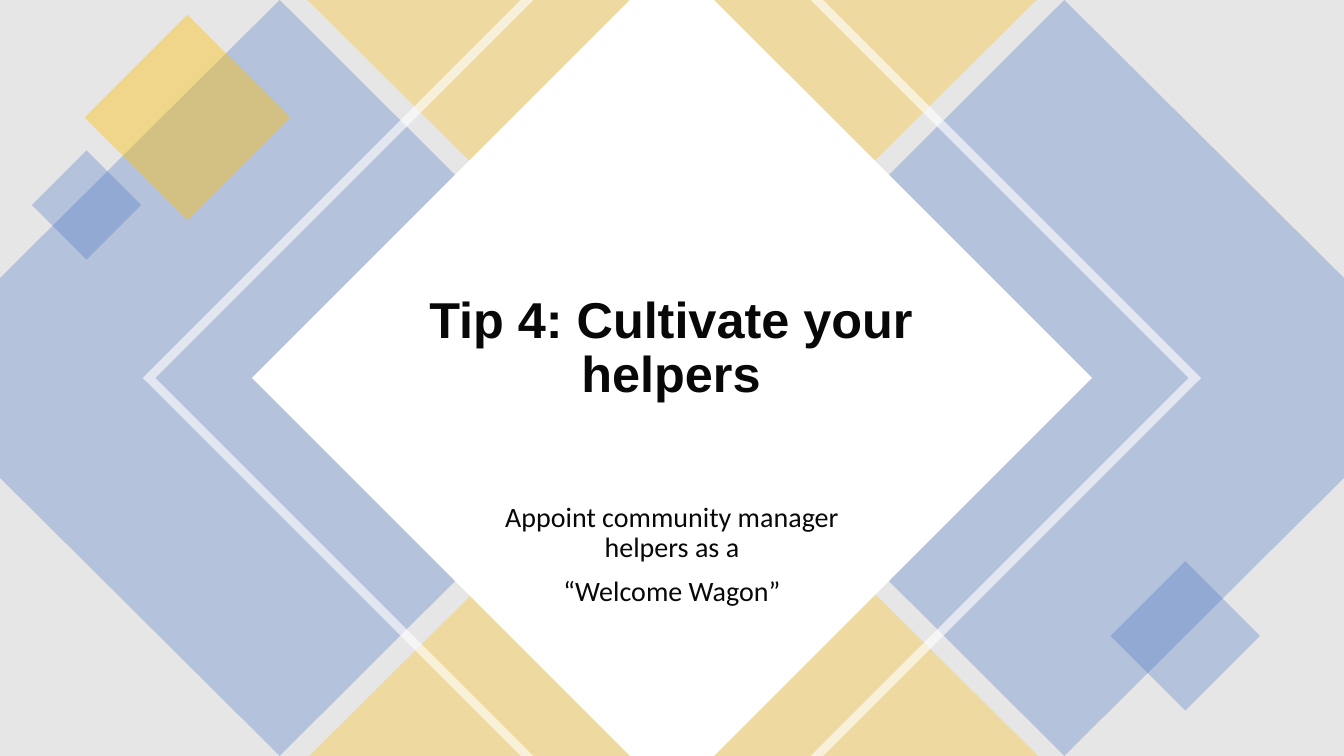
import dataclasses

import lxml.etree
import pptx
import pptx.dml.color
import pptx.enum.shapes
import pptx.enum.text
import pptx.oxml.ns
import pptx.util

KINDS = pptx.enum.shapes.MSO_SHAPE
ANCHOR = pptx.enum.text.MSO_ANCHOR
COLS, ROWS = 16, 9


@dataclasses.dataclass
class Theme:
    """Colours, fonts and type sizes of the slide."""
    back: str = "E7E6E6"
    blue: str = "4472C4"
    gold: str = "FFC000"
    white: str = "FFFFFF"
    ink: str = "080808"
    head: str = "Arial"
    body: str = "Calibri"
    large: int = 36
    small: int = 20


class Deck:
    """Draws on one slide, with lengths in cells of a 16 by 9 grid."""

    def __init__(self, theme):
        """Open a blank slide."""
        self.theme = theme
        self.show = pptx.Presentation()
        self.show.slide_width = pptx.util.Inches(13.33)
        self.show.slide_height = pptx.util.Inches(7.5)
        self.slide = self.show.slides.add_slide(self.show.slide_layouts[6])

    def place(self, x, y):
        """Turn columns and rows into slide units."""
        return (round(x * self.show.slide_width / COLS),
                round(y * self.show.slide_height / ROWS))

    def paint(self, shape, tone, alpha):
        """Fill a shape, with no line or shadow."""
        shape.shadow.inherit = False
        shape.line.fill.background()
        shape.fill.solid()
        shape.fill.fore_color.rgb = pptx.dml.color.RGBColor.from_string(tone)
        if alpha < 100:
            name = pptx.oxml.ns.qn("a:srgbClr")
            node = next(shape.element.iter(name))
            lxml.etree.SubElement(node, pptx.oxml.ns.qn("a:alpha"),
                                  val=str(alpha * 1000))

    def block(self, kind, x, y, w, h, tone, alpha=100, turn=0):
        """Add a preset shape."""
        shape = self.slide.shapes.add_shape(
            kind, *self.place(x, y), *self.place(w, h))
        shape.rotation = turn
        self.paint(shape, tone, alpha)

    def gem(self, x, y, side, tone, alpha):
        """Add a square on its corner, centred on a point."""
        self.block(KINDS.RECTANGLE, x - side / 2, y - side / 2, side, side,
                   tone, alpha, 45)

    def outline(self, rings, tone, alpha=100):
        """Add one shape made of closed rings of points."""
        spots = [[self.place(*dot) for dot in ring] for ring in rings]
        pen = self.slide.shapes.build_freeform(*spots[0][0], scale=1.0)
        pen.add_line_segments(spots[0][1:], close=True)
        for ring in spots[1:]:
            pen.move_to(*ring[0])
            pen.add_line_segments(ring[1:], close=True)
        self.paint(pen.convert_to_shape(), tone, alpha)

    def text(self, words, x, y, w, h, font, size, bold=False,
             anchor=ANCHOR.TOP, gap=0, foot=0.05):
        """Add a centred text box."""
        box = self.slide.shapes.add_textbox(
            *self.place(x, y), *self.place(w, h))
        frame = box.text_frame
        frame.word_wrap = True
        frame.vertical_anchor = anchor
        frame.margin_bottom = pptx.util.Inches(foot)
        frame.text = words
        for rank, para in enumerate(frame.paragraphs):
            para.alignment = pptx.enum.text.PP_ALIGN.CENTER
            para.line_spacing = 0.9
            para.space_before = pptx.util.Pt(gap if rank else 0)
            for run in para.runs:
                run.font.name = font
                run.font.size = pptx.util.Pt(size)
                run.font.bold = bold
                run.font.color.rgb = pptx.dml.color.RGBColor.from_string(
                    self.theme.ink)


def flip(ring):
    """Mirror points about the middle of the slide."""
    return [(COLS - x, y) for x, y in ring]


def main():
    """Build and save the slide."""
    theme = Theme()
    deck = Deck(theme)
    deck.block(KINDS.RECTANGLE, 0, 0, COLS, ROWS, theme.back)

    wing = [(3.33, 0), (7.84, 4.5), (3.33, 9), (0, 5.69), (0, 3.31)]
    for ring in (wing, flip(wing)):
        deck.outline([ring], theme.blue, 30)
    for x, y, turn in ((3.66, 0, 180), (3.68, 4.69, 0)):
        deck.block(KINDS.ISOSCELES_TRIANGLE, x, y, 8.68, 4.31,
                   theme.gold, 30, turn)

    deck.outline([[(7.5, 0), (8.5, 0), (13, 4.5), (8.5, 9), (7.5, 9),
                   (3, 4.5)]], theme.white)
    deck.gem(14.11, 7.57, 1.26, theme.blue, 30)
    band = [(9.65, 0), (9.8, 0), (14.3, 4.5), (9.8, 9), (9.65, 9),
            (14.15, 4.5)]
    deck.outline([band, flip(band)], theme.white, 60)

    deck.text("Tip 4: Cultivate your helpers", 4.2, 3.08, 7.58, 2.82,
              theme.head, theme.large, True, ANCHOR.MIDDLE, foot=0.6)
    deck.text("Appoint community manager helpers as a\n“Welcome Wagon”",
              5.83, 5.93, 4.34, 1.5, theme.body, theme.small, gap=10)

    deck.gem(2.23, 1.4, 1.73, theme.gold, 40)
    deck.gem(1.03, 2.44, 0.92, theme.blue, 30)
    deck.show.save("out.pptx")


if __name__ == "__main__":
    main()
